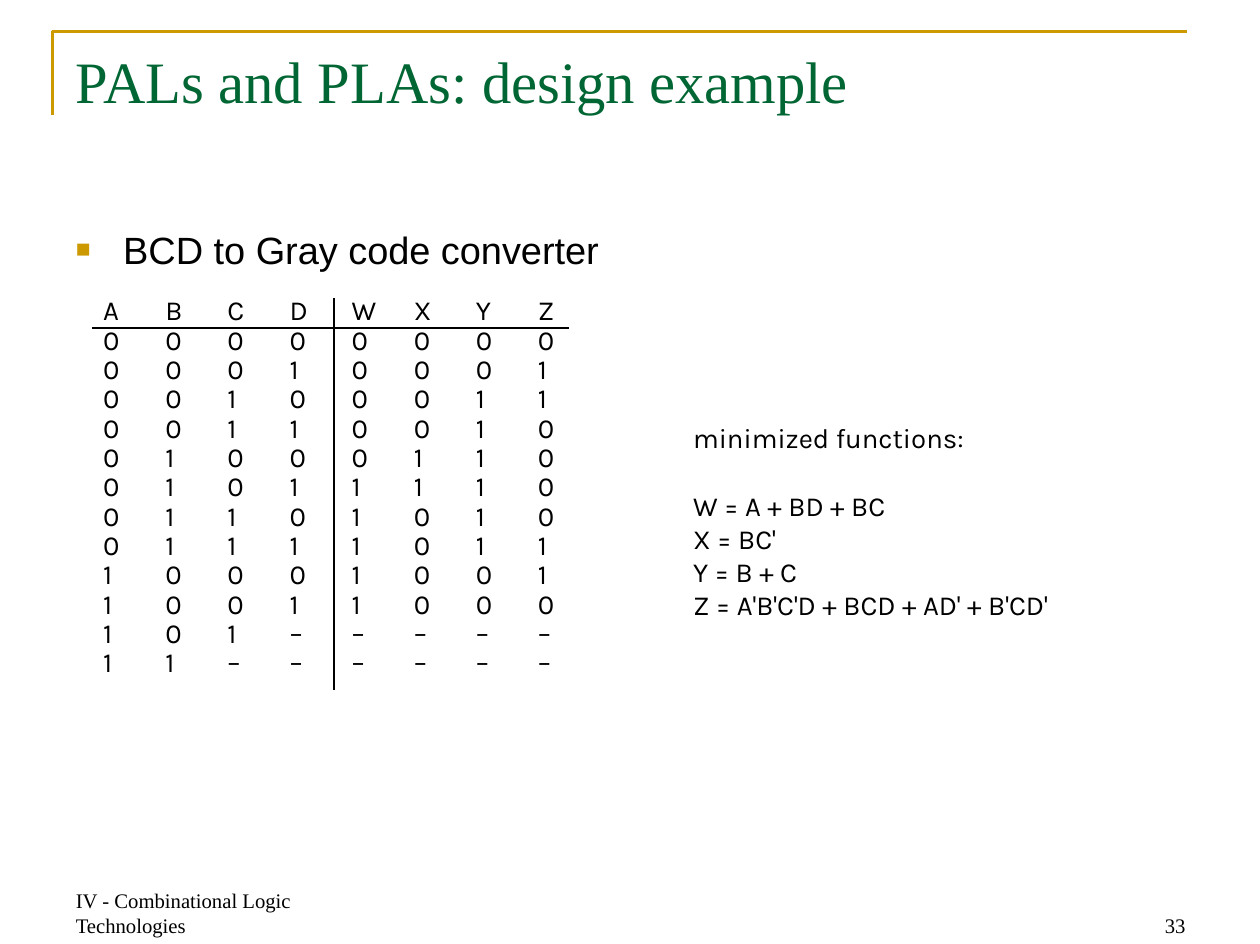
from lxml import etree
from pptx import Presentation
from pptx.dml.color import RGBColor
from pptx.enum import shapes, text
from pptx.oxml import ns
from pptx.util import Cm, Pt

BLACK = RGBColor(0x00, 0x00, 0x00)
GREEN = RGBColor(0x00, 0x66, 0x33)
GOLD = RGBColor(0xCC, 0x99, 0x00)
SERIF, SANS, KARLA = "Times New Roman", "Arial", "Karla"

TITLE = "PALs and PLAs: design example"
BULLET = "BCD to Gray code converter"
FOOTER = "IV - Combinational Logic Technologies"
PAGE = "33"
TRUTH_TABLE = [
    "ABCDWXYZ",
    "00000000",
    "00010001",
    "00100011",
    "00110010",
    "01000110",
    "01011110",
    "01101010",
    "01111011",
    "10001001",
    "10011000",
    "101–––––",
    "11––––––",
]
FUNCTIONS = [
    "minimized functions:",
    "W = A + BD + BC",
    "X = BC'",
    "Y = B + C",
    "Z = A'B'C'D + BCD + AD' + B'CD'",
]
FRAME = [(1.07, 2.36), (1.07, 0.64), (24.26, 0.64)]
RULES = [(6.83, 6.1, 6.83, 14.1), (1.88, 6.71, 11.63, 6.71)]
COLUMN = 1.27
WIDE = dict(margin_left=Cm(0.25), margin_right=Cm(0.25),
            margin_top=Cm(0.13), margin_bottom=Cm(0.13))
TIGHT = dict(margin_left=Cm(0.05), margin_right=Cm(0.05),
             margin_top=Cm(0.08), margin_bottom=Cm(0.08))


def set_all(target, values):
    for name, value in values.items():
        setattr(target, name, value)


def write(sp, lines, font, size, color=BLACK, margins=WIDE,
          anchor=text.MSO_ANCHOR.TOP, **paragraph):
    tf = sp.text_frame
    set_all(tf, dict(margins, word_wrap=True, vertical_anchor=anchor,
                     auto_size=text.MSO_AUTO_SIZE.NONE))
    for i, line in enumerate(lines):
        p = tf.add_paragraph() if i else tf.paragraphs[0]
        set_all(p, dict(dict(alignment=text.PP_ALIGN.LEFT), **paragraph))
        r = p.add_run()
        r.text = line
        set_all(r.font, dict(name=font, size=Pt(size)))
        r.font.color.rgb = color
    return tf.paragraphs


def add_text(s, box, lines, *args, **kwargs):
    return write(s.shapes.add_textbox(*map(Cm, box)), lines, *args, **kwargs)


def add_child(parent, tag, **attributes):
    return etree.SubElement(parent, ns.qn(tag), attributes)


def add_bullet(p):
    pPr = p._p.get_or_add_pPr()
    pPr.set("marL", str(Cm(0.97)))
    pPr.set("indent", str(-Cm(0.97)))
    add_child(add_child(pPr, "a:buClr"), "a:srgbClr", val=str(GOLD))
    add_child(pPr, "a:buSzPct", val="65000")
    add_child(pPr, "a:buFont", typeface=SANS)
    add_child(pPr, "a:buChar", char="■")


def add_tabs(p, count):
    tabs = add_child(p._p.get_or_add_pPr(), "a:tabLst")
    for i in range(1, count):
        add_child(tabs, "a:tab", pos=str(Cm(COLUMN * i)), algn="l")


def add_frame(s):
    points = [(Cm(x), Cm(y)) for x, y in FRAME]
    builder = s.shapes.build_freeform(*points[0])
    builder.add_line_segments(points[1:], close=False)
    sp = builder.convert_to_shape()
    sp.shadow.inherit = False
    sp.fill.background()
    sp.line.color.rgb = GOLD
    sp.line.width = Pt(1.5)


def add_rule(s, ends):
    rule = s.shapes.add_connector(shapes.MSO_CONNECTOR.STRAIGHT, *map(Cm, ends))
    rule.line.color.rgb = BLACK
    rule.line.width = Pt(1)
    add_child(rule._element.spPr, "a:effectLst")


def main():
    prs = Presentation()
    set_all(prs, dict(slide_width=Cm(25.76), slide_height=Cm(19.3)))
    s = prs.slides.add_slide(prs.slide_layouts[5])

    add_frame(s)
    title = s.shapes.title
    set_all(title, dict(left=Cm(1.3), top=Cm(0.79),
                        width=Cm(23.16), height=Cm(3.2)))
    write(title, [TITLE], SERIF, 34, GREEN)

    heading = add_text(s, (1.3, 4.5, 23.16, 1.4), [BULLET], SANS, 22,
                       space_before=Pt(4.4))
    add_bullet(heading[0])

    rows = add_text(s, (2.06, 5.99, 10.16, 8.86), map("\t".join, TRUTH_TABLE),
                    KARLA, 16, margins=TIGHT, line_spacing=Pt(17))
    for p in rows:
        add_tabs(p, len(TRUTH_TABLE[0]))
    for ends in RULES:
        add_rule(s, ends)

    functions = add_text(s, (14.12, 8.53, 8.64, 4.6), FUNCTIONS, KARLA, 16,
                         margins=TIGHT)
    functions[0].space_after = Pt(20)

    bottom = text.MSO_ANCHOR.BOTTOM
    add_text(s, (1.3, 18.01, 6.02, 1.29), [FOOTER], SERIF, 12, anchor=bottom)
    add_text(s, (18.47, 18.01, 6.02, 1.29), [PAGE], SERIF, 12, anchor=bottom,
             alignment=text.PP_ALIGN.RIGHT)
    prs.save("out.pptx")


if __name__ == "__main__":
    main()
